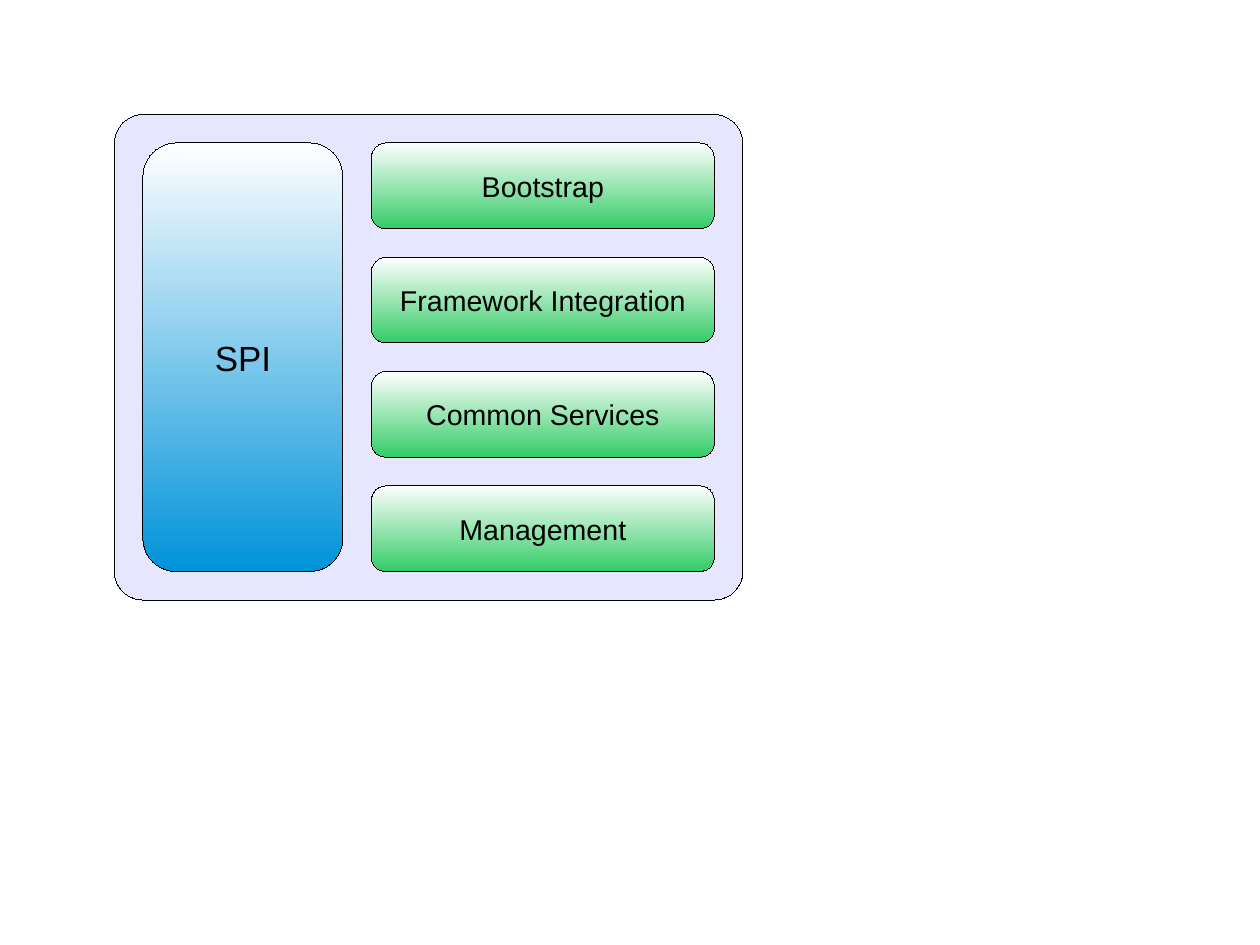
from dataclasses import dataclass

from pptx import Presentation
from pptx.dml.color import RGBColor
from pptx.enum.shapes import MSO_SHAPE
from pptx.enum.text import MSO_ANCHOR, PP_ALIGN
from pptx.util import Inches, Pt


@dataclass(frozen=True)
class Theme:
    """Colours, font, type sizes and line width of the diagram."""
    font: str = "Arial"
    ink: str = "000000"
    panel: str = "E6E6FF"
    top: str = "FFFFFF"
    blue: str = "0093D9"
    green: str = "33CC66"
    large: int = 22
    small: int = 18
    hair: float = 0.01


def write(frame, text, *, font, size, color):
    """Put one centred line of text in the middle of a frame."""
    frame.word_wrap = True
    frame.vertical_anchor = MSO_ANCHOR.MIDDLE
    line = frame.paragraphs[0]
    line.alignment = PP_ALIGN.CENTER
    run = line.add_run()
    run.text = text
    run.font.name = font
    run.font.size = Pt(size)
    run.font.color.rgb = RGBColor.from_string(color)


class Canvas:
    """Draw styled elements on the current slide."""

    def __init__(self, slide, theme):
        self.slide = slide
        self.theme = theme

    def outline(self, left, top, width, height, curve):
        """Add a rounded box with a hairline border."""
        box = self.slide.shapes.add_shape(
            MSO_SHAPE.ROUNDED_RECTANGLE,
            Inches(left), Inches(top), Inches(width), Inches(height))
        box.adjustments[0] = curve
        box.shadow.inherit = False
        box.line.color.rgb = RGBColor.from_string(self.theme.ink)
        box.line.width = Pt(self.theme.hair)
        return box

    def panel(self, left, top, width, height):
        """Add the plain backing panel."""
        box = self.outline(left, top, width, height, 0.06)
        box.fill.solid()
        box.fill.fore_color.rgb = RGBColor.from_string(self.theme.panel)

    def block(self, text, left, top, width, height, color, size):
        """Add a labelled block that fades down from white."""
        box = self.outline(left, top, width, height, 0.167)
        box.fill.gradient()
        box.fill.gradient_angle = 270
        for stop, shade in zip(box.fill.gradient_stops, (self.theme.top, color)):
            stop.color.rgb = RGBColor.from_string(shade)
        write(box.text_frame, text, font=self.theme.font, size=size,
              color=self.theme.ink)


def main():
    """Build and save the slide."""
    deck = Presentation()
    deck.slide_width = Inches(28 / 2.54)
    deck.slide_height = Inches(21 / 2.54)
    theme = Theme()
    canvas = Canvas(deck.slides.add_slide(deck.slide_layouts[6]), theme)

    canvas.panel(1, 1, 5.5, 4.25)
    canvas.block("SPI", 1.25, 1.25, 1.75, 3.75, theme.blue, theme.large)
    parts = ("Bootstrap", "Framework Integration", "Common Services", "Management")
    for row, part in enumerate(parts):
        canvas.block(part, 3.25, 1.25 + row, 3, 0.75, theme.green, theme.small)

    deck.save("out.pptx")


if __name__ == "__main__":
    main()
